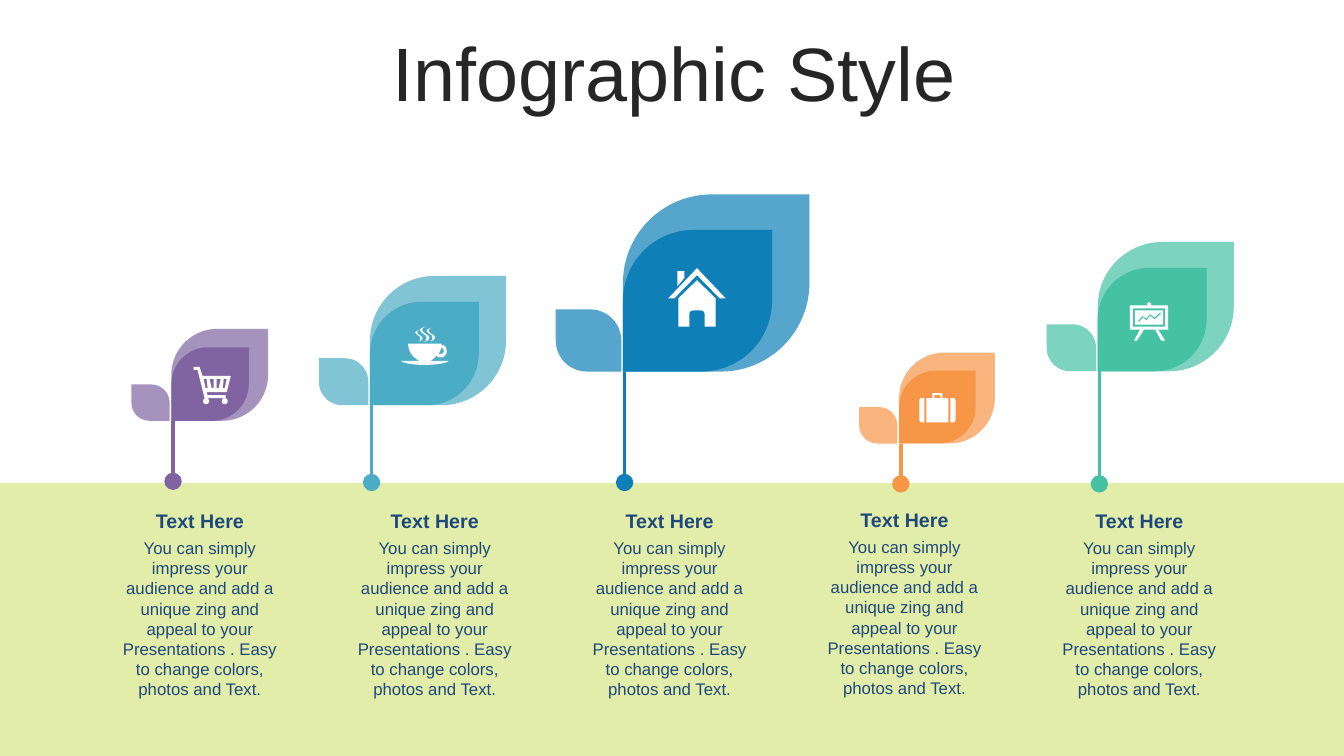
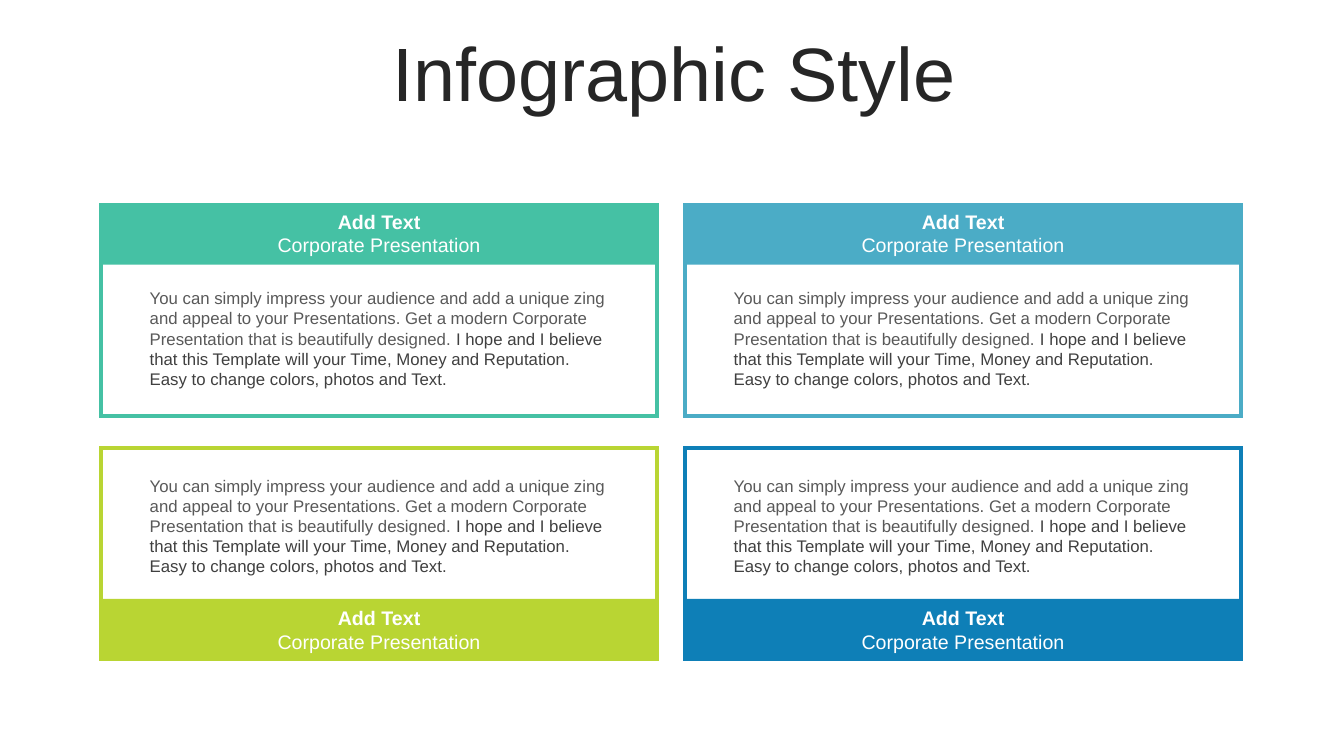
from pptx import Presentation
from pptx.dml.color import RGBColor
from pptx.enum.shapes import MSO_CONNECTOR, MSO_SHAPE as SHAPE
from pptx.enum.text import MSO_ANCHOR as ANCHOR, MSO_AUTO_SIZE, PP_ALIGN as ALIGN
from pptx.oxml.ns import qn
from pptx.util import Inches, Pt
from lxml.etree import SubElement
from math import cos, pi, sin

# The slide is a grid of 80 columns by 45 rows of square cells
COLS, ROWS = 80, 45
CELL = Inches(1 / 6)
ICON_UNIT = 0.06  # cells per unit of an icon outline

FONT = "Arial"
WHITE = RGBColor(0xFF, 0xFF, 0xFF)
INK = RGBColor(0x26, 0x26, 0x26)
GRAY = RGBColor(0x59, 0x59, 0x59)
DARK_GRAY = RGBColor(0x40, 0x40, 0x40)
NAVY = RGBColor(0x1F, 0x49, 0x7D)
MEADOW = RGBColor(0xD5, 0xE6, 0x85)
PURPLE = RGBColor(0x80, 0x64, 0xA2)
CYAN = RGBColor(0x4B, 0xAC, 0xC6)
BLUE = RGBColor(0x0E, 0x7F, 0xB7)
ORANGE = RGBColor(0xF7, 0x96, 0x46)
GREEN = RGBColor(0x45, 0xC1, 0xA4)
LIME = RGBColor(0xB9, 0xD5, 0x33)

TITLE = "Infographic Style"
PLANT_TEXT = ("You can simply impress your audience and add a unique zing and appeal "
              "to your Presentations . Easy to change colors, photos and Text.")
CARD_HEADING = ("Add Text", "Corporate Presentation")
CARD_INTRO = ("You can simply impress your audience and add a unique zing and appeal to "
              "your Presentations. Get a modern Corporate Presentation that is "
              "beautifully designed. ")
CARD_CLAIM = ("I hope and I believe that this Template will your Time, Money and "
              "Reputation. Easy to change colors, photos and Text.")


def emu(cells):
    return round(cells * CELL)


# Icon outlines: two numbers are a corner, six are a Bézier curve
def circle(cx, cy, r, n=24):
    return [(cx + r * cos(2 * pi * i / n), cy + r * sin(2 * pi * i / n)) for i in range(n)]


def rect(left, top, right, bottom):
    return [(left, top), (right, top), (right, bottom), (left, bottom)]


def placed(outline, dx, dy, sx, sy):
    return [tuple(v * (sy if i % 2 else sx) + (dy if i % 2 else dx)
                  for i, v in enumerate(step)) for step in outline]


def flatten(outline, n=8):
    points = [outline[0]]
    for step in outline[1:]:
        if len(step) == 2:
            points.append(step)
            continue
        controls = (points[-1], step[:2], step[2:4], step[4:])
        for t in (i / n for i in range(1, n + 1)):
            weights = ((1 - t) ** 3, 3 * t * (1 - t) ** 2, 3 * t * t * (1 - t), t ** 3)
            points.append(tuple(sum(w * c[k] for w, c in zip(weights, controls))
                                for k in (0, 1)))
    return points


CART = [
    [(6, 0), (9, 9), (37, 9), (33, 25), (13, 25), (14, 28), (32, 28), (32, 31),
     (11, 31), (4, 3), (0, 3), (0, 0)],
    [(30, 12), (29, 21), (31, 21), (33, 12)],
    [(23, 12), (23, 21), (25, 21), (27, 12)],
    [(16, 12), (18, 21), (20, 21), (20, 12)],
    [(10, 12), (12, 21), (14, 21), (13, 12)],
    circle(31, 34, 3), circle(12.5, 34, 3),
]
STEAM = [(0, 0), (-3, 1, -3, 1, -3, 3), (-2, 6, 3, 6, 2, 9), (2, 10, 1, 11, -2, 12),
         (0, 11, 0, 10, 0, 8), (0, 6, -3, 6, -4, 4), (-6, 2, -4, 1, 0, 0)]
CUP = [
    [(40, 17), (40, 18), (42, 18, 45, 20, 45, 23), (46, 26, 44, 29, 42, 30),
     (40, 31, 37, 31, 35, 29), (34, 30, 33, 31, 32, 32), (31, 33, 30, 33, 29, 34),
     (47, 34), (46, 36, 36, 38, 23, 38), (11, 38, 1, 36, 0, 34), (18, 34),
     (17, 33, 16, 33, 15, 32), (10, 29, 7, 23, 7, 17)],
    [(40, 21), (39, 23, 39, 25, 37, 27), (38, 27, 39, 27, 40, 27),
     (42, 26, 43, 25, 42, 23), (42, 22, 41, 21, 40, 21)],
    *(placed(STEAM, x, y, s, s) for x, y, s in ((19, 3, 1), (25, 0, 1.3), (31, 1, 1.15))),
]
HOUSE = [
    [(28.5, 12), (47, 30), (47, 58), (36, 58), (36, 45), (36, 43, 34, 42, 32, 42),
     (25, 42), (23, 42, 21, 43, 21, 45), (21, 58), (10, 58), (10, 30)],
    [(9, 3), (16, 3), (16, 10), (9, 18)],
    [(28.5, 0), (57, 30), (51, 30), (28.5, 7), (6, 30), (0, 30)],
]
CASE_SIDE = [(31, 5), (34, 5), (35, 5, 36, 6, 36, 8), (36, 26), (36, 27, 35, 29, 34, 29),
             (31, 29)]
SUITCASE = [
    CASE_SIDE, placed(CASE_SIDE, 36, 0, -1, 1),
    [(7, 5), (13, 5), (13, 1), (13, 0, 13, 0, 14, 0), (22, 0), (23, 0, 23, 0, 23, 1),
     (23, 5), (29, 5), (29, 29), (7, 29)],
    rect(15, 2, 21, 5),
]
BOARD = [
    [(19, 0), (20, 0, 21, 1, 21, 2), (21, 3), (38, 3), (38, 27), (28, 27), (35, 38),
     (31, 38), (25, 27), (14, 27), (7, 38), (4, 38), (10, 27), (0, 27), (0, 3), (17, 3),
     (17, 2), (17, 1, 18, 0, 19, 0)],
    rect(3, 6, 35, 24), rect(5, 8, 33, 22),
    [(30, 10), (24.5, 15), (20, 11.5), (16, 16), (12.5, 13.5), (8, 18.5), (9, 19.5),
     (13, 15), (16.5, 18), (20, 13), (24.5, 17), (31, 11)],
]


class Deck:
    """Shared style and the slide being filled."""

    def __init__(self):
        self.prs = Presentation()
        self.prs.slide_width, self.prs.slide_height = COLS * CELL, ROWS * CELL
        self.shapes = None

    def slide(self, title):
        self.shapes = self.prs.slides.add_slide(self.prs.slide_layouts[5]).shapes
        sp = self.shapes.title
        sp.left, sp.top, sp.width, sp.height = map(emu, (2.15, 2.2, 75.95, 4.75))
        tf = sp.text_frame
        tf.auto_size = MSO_AUTO_SIZE.NONE
        tf.vertical_anchor = ANCHOR.MIDDLE
        self.paragraph(tf.paragraphs[0], [(title, INK)], 54, ALIGN.CENTER)
        tf.paragraphs[0].line_spacing = 0.9

    def paragraph(self, p, runs, size, align=ALIGN.LEFT, bold=False):
        p.alignment = align
        p.font.name, p.font.size, p.font.bold = FONT, Pt(size), bold
        for text, color in runs:
            r = p.add_run()
            r.text = text
            if len(runs) > 1:
                r.font.color.rgb = color
            else:
                p.font.color.rgb = color

    def text(self, x, y, w, h, runs, size, align=ALIGN.LEFT, bold=False, anchor=ANCHOR.TOP):
        tf = self.shapes.add_textbox(*map(emu, (x, y, w, h))).text_frame
        tf.word_wrap = True
        tf.vertical_anchor = anchor
        self.paragraph(tf.paragraphs[0], runs, size, align, bold)

    def shape(self, kind, x, y, w, h, fill=None, alpha=100, line=None):
        sp = self.shapes.add_shape(kind, *map(emu, (x, y, w, h)))
        return self.paint(sp, fill, alpha, line)

    def paint(self, sp, fill, alpha=100, line=None):
        sp.shadow.inherit = False
        if fill is None:
            sp.fill.background()
        else:
            sp.fill.solid()
            sp.fill.fore_color.rgb = fill
        if alpha < 100:
            color = sp.fill._xPr.find(qn("a:solidFill"))[0]
            SubElement(color, qn("a:alpha"), val=str(alpha * 1000))
        if line is None:
            sp.line.fill.background()
        else:
            sp.line.color.rgb, sp.line.width = line, Pt(3)
            SubElement(sp.line._get_or_add_ln(), qn("a:miter"), lim="800000")
        return sp

    def leaf(self, x, base, w, color, alpha=100, curves=(0.5, 0)):
        h = 0.95 * w
        sp = self.shape(SHAPE.ROUND_2_DIAG_RECTANGLE, x, base - h, w, h, color, alpha)
        sp.adjustments[0], sp.adjustments[1] = curves

    def stem(self, x, top, foot, color):
        ln = self.shapes.add_connector(MSO_CONNECTOR.STRAIGHT,
                                       *map(emu, (x, top, x, foot)))
        ln.line.color.rgb, ln.line.width = color, Pt(2.5)
        SubElement(ln.line._get_or_add_ln(), qn("a:tailEnd"), type="oval", w="lg", len="lg")
        SubElement(ln._element.spPr, qn("a:effectLst"))

    def icon(self, x, y, outlines):
        fb = None
        for outline in outlines:
            points = [(emu(px * ICON_UNIT), emu(py * ICON_UNIT))
                      for px, py in flatten(outline)]
            if fb is None:
                fb = self.shapes.build_freeform(*points[0])
            else:
                fb.move_to(*points[0])
            fb.add_line_segments(points[1:], close=True)
        self.paint(fb.convert_to_shape(emu(x), emu(y)), WHITE)

    def plant(self, x, base, size, bud, foot, color):
        self.leaf(x, base, size, color, 70)
        self.leaf(x, base, 0.8 * size, color)
        self.stem(x + 0.1, base, foot, color)
        self.leaf(x - 0.1 - bud, base, bud, color, 70, (0, 0.5))

    def card(self, x, y, color, heading_below):
        w, h, band = 33.1, 12.55, 3.55
        self.shape(SHAPE.RECTANGLE, x, y, w, h, line=color)
        top = y + h - band if heading_below else y
        tf = self.shape(SHAPE.RECTANGLE, x, top, w, band, color).text_frame
        tf.vertical_anchor = ANCHOR.MIDDLE
        tf.margin_top, tf.margin_bottom = map(Inches, (0.02, 0) if heading_below else (0, 0.03))
        for i, line in enumerate(CARD_HEADING):
            p = tf.add_paragraph() if i else tf.paragraphs[0]
            self.paragraph(p, [(line, WHITE)], 14, ALIGN.CENTER, bold=i == 0)
        self.text(x + 2.3, y + (1.35 if heading_below else 4.65), 28.4, 6.65,
                  [(CARD_INTRO, GRAY), (CARD_CLAIM, DARK_GRAY)], 12)


def plants_slide(deck):
    deck.slide(TITLE)
    deck.shape(SHAPE.RECTANGLE, 0, 28.75, COLS, 16.25, MEADOW, 70)
    # Leaf left, base, size, bud size, stem foot, colour; icon and its place; text lift
    plants = (
        ((10.2, 25.05, 5.76, 2.28, 28.65, PURPLE), (11.52, 21.84, CART), 0),
        ((22.02, 24.12, 8.1, 2.94, 28.72, CYAN), (23.88, 19.44, CUP), 0),
        ((37.08, 22.12, 11.1, 3.9, 28.72, BLUE), (39.78, 15.96, HOUSE), 0),
        ((53.52, 26.4, 5.7, 2.28, 28.8, ORANGE), (54.72, 23.4, SUITCASE), 0.07),
        ((65.34, 22.1, 8.1, 2.94, 28.8, GREEN), (67.26, 18, BOARD), 0),
    )
    for i, (plant, icon, lift) in enumerate(plants):
        deck.plant(*plant)
        deck.icon(*icon)
        x = 6.6 + 13.98 * i
        deck.text(x, 29.95 - lift, 10.6, 2.05, [("Text Here", NAVY)], 14,
                  ALIGN.CENTER, True, ANCHOR.MIDDLE)
        deck.text(x, 31.72 - lift, 10.6, 10.3, [(PLANT_TEXT, NAVY)], 12, ALIGN.CENTER)


def cards_slide(deck):
    deck.slide(TITLE)
    for i, color in enumerate((GREEN, CYAN, LIME, BLUE)):
        row, col = divmod(i, 2)
        deck.card(6.02 + 34.76 * col, 12.2 + 14.45 * row, color, row == 1)


def main():
    deck = Deck()
    plants_slide(deck)
    cards_slide(deck)
    deck.prs.save("out.pptx")


if __name__ == "__main__":
    main()
